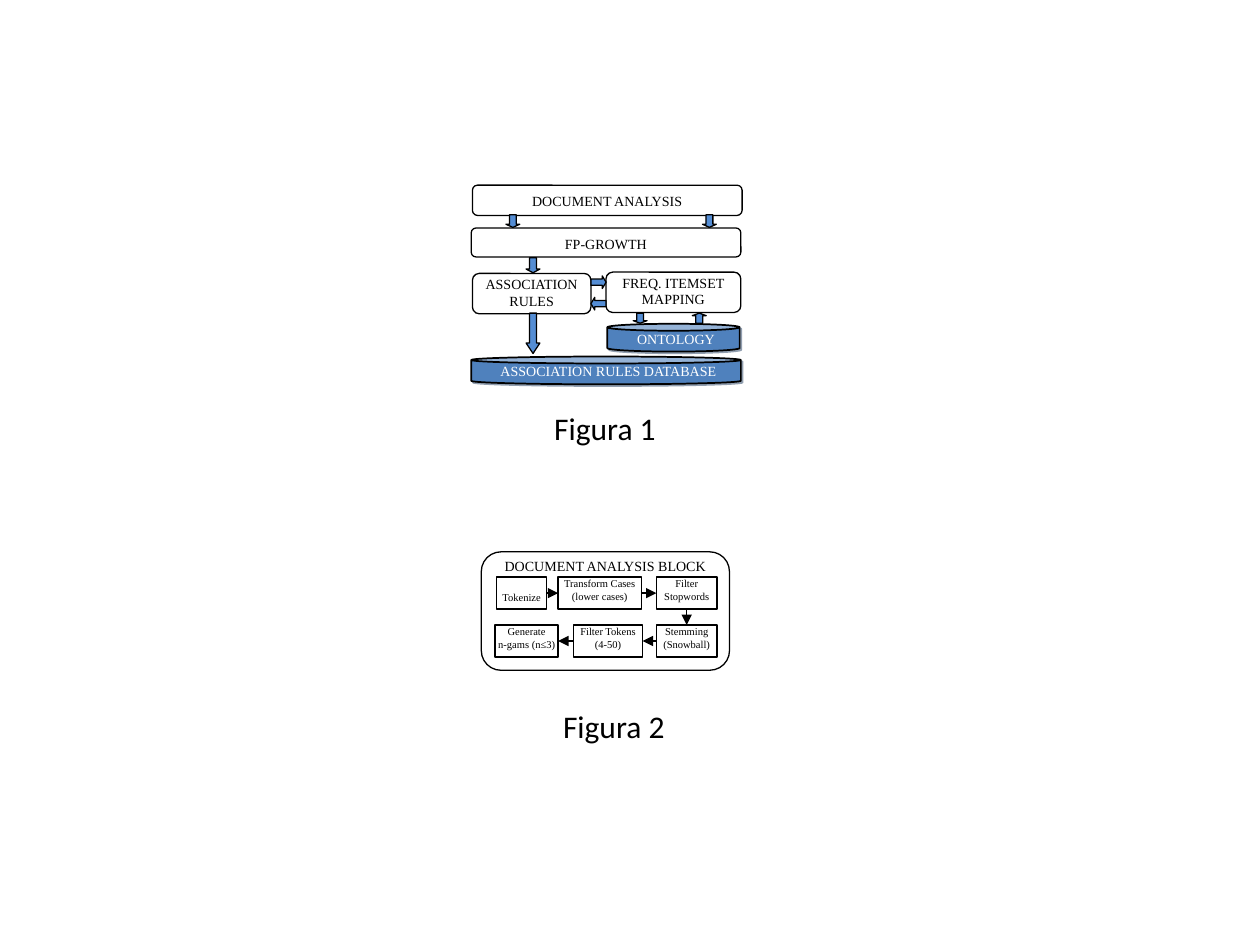
from pptx import Presentation
from pptx.dml.color import RGBColor
from pptx.enum.shapes import MSO_CONNECTOR, MSO_SHAPE as SHAPE
from pptx.enum.text import MSO_ANCHOR as ANCHOR, MSO_AUTO_SIZE as AUTO, PP_ALIGN as ALIGN
from pptx.oxml import parse_xml
from pptx.oxml.ns import nsdecls
from pptx.util import Inches, Pt

COLORS = {"ink": "000000", "paper": "FFFFFF", "arrow": "548DD4",
          "store": "4F81BD", "shade": "243F60"}
SERIF, SANS = "Times New Roman", "Calibri"
WIDE = (0.1, 0.05, 0.1, 0.05)
SIDES = (0.06, 0, 0.06, 0)
TIGHT = (0, 0, 0, 0)


def color(name):
    return RGBColor.from_string(COLORS[name])


class Grid:
    """A box on the slide, split into equal columns and rows."""

    def __init__(self, left, top, width, height, cols, rows):
        self.left, self.top = Inches(left), Inches(top)
        self.col, self.row = Inches(width) / cols, Inches(height) / rows

    def point(self, x, y):
        return round(self.left + x * self.col), round(self.top + y * self.row)

    def cell(self, x, y, w, h):
        return *self.point(x, y), round(w * self.col), round(h * self.row)


def write(sp, lines, size, ink="ink", font=SERIF, insets=WIDE,
          align=ALIGN.CENTER, anchor=ANCHOR.TOP, wrap=True):
    tf = sp.text_frame
    tf.word_wrap, tf.vertical_anchor = wrap, anchor
    (tf.margin_left, tf.margin_top,
     tf.margin_right, tf.margin_bottom) = map(Inches, insets)
    for i, line in enumerate(lines):
        p = tf.paragraphs[0] if i == 0 else tf.add_paragraph()
        p.alignment = align
        r = p.add_run()
        r.text = line
        r.font.size, r.font.name = Pt(size), font
        r.font.color.rgb = color(ink)


def add_shape(s, kind, cell, fill="paper", width=0.75):
    sp = s.shapes.add_shape(kind, *cell)
    sp.shadow.inherit = False
    sp.fill.solid()
    sp.fill.fore_color.rgb = color(fill)
    sp.line.color.rgb = color("ink")
    sp.line.width = Pt(width)
    return sp


def add_block_arrow(s, cell, turn, head=0.25):
    sp = add_shape(s, SHAPE.RIGHT_ARROW, cell, "arrow")
    sp.adjustments[1] = head
    sp.rotation = turn


def add_store(s, grid, x, y, w, h, label):
    sp = add_shape(s, SHAPE.CAN, grid.cell(x, y, w, h), "store", 1)
    sp.adjustments[0] = 0.25
    effects = sp._element.spPr.find("{*}effectLst")
    effects.append(parse_xml(
        f'<a:outerShdw {nsdecls("a")} dist="17780" dir="2700000" rotWithShape="0">'
        f'<a:srgbClr val="{COLORS["shade"]}"><a:alpha val="50000"/></a:srgbClr>'
        '</a:outerShdw>'))
    write(s.shapes.add_textbox(*grid.cell(x + 2, y, w, h - 1)), [label], 8, "paper")


def add_link(s, start, end):
    line = s.shapes.add_connector(MSO_CONNECTOR.STRAIGHT, *start, *end)
    line.line.color.rgb = color("ink")
    line.line.width = Pt(0.75)
    line.line._get_or_add_ln().append(
        parse_xml(f'<a:tailEnd {nsdecls("a")} type="triangle"/>'))
    line._element.spPr.append(parse_xml(f'<a:effectLst {nsdecls("a")}/>'))


def add_caption(s, left, top, label):
    sp = s.shapes.add_textbox(Inches(left), Inches(top), Inches(1.01), Inches(0.4))
    write(sp, [label], 18, font=SANS, align=ALIGN.LEFT, wrap=False)
    sp.text_frame.auto_size = AUTO.SHAPE_TO_FIT_TEXT


def draw_mining_flow(s, grid):
    # Process steps
    for x, y, w, h, insets, lines in [
        (1, 0, 214, 24, WIDE, ["DOCUMENT ANALYSIS"]),
        (0, 34, 214, 23, WIDE, ["FP-GROWTH"]),
        (1, 70, 94, 32, SIDES, ["ASSOCIATION", "RULES"]),
        (107, 69, 107, 32, SIDES, ["FREQ. ITEMSET MAPPING"]),
    ]:
        sp = add_shape(s, SHAPE.ROUNDED_RECTANGLE, grid.cell(x, y, w, h))
        write(sp, lines, 8, insets=insets)

    # Block arrows: place before turning, turn, head length
    for x, y, w, h, turn, head in [
        (28, 23, 10, 11, 90, 0.25),
        (184, 23, 10, 11, 90, 0.25),
        (43, 58, 12, 11, 90, 0.27),
        (33, 112, 32, 11, 90, 0.75),
        (130, 100, 8, 11, 90, 0.25),
        (177, 100, 8, 11, 270, 0.25),
        (95, 72, 12, 10, 0, 0.3),
        (95, 89, 12, 10, 180, 0.3),
    ]:
        add_block_arrow(s, grid.cell(x, y, w, h), turn, head)

    # Data stores
    add_store(s, grid, 108, 110, 105, 22, "ONTOLOGY")
    add_store(s, grid, 0, 136, 214, 22, "ASSOCIATION RULES DATABASE")


def draw_analysis_block(s, grid):
    # Frame with its heading
    frame = add_shape(s, SHAPE.ROUNDED_RECTANGLE, grid.cell(0, 0, 197, 94))
    write(frame, ["DOCUMENT ANALYSIS BLOCK"], 8, insets=TIGHT)

    # Steps in reading order: along the top, then back along the bottom
    top, bottom, height = 20, 58, 25.5
    steps = [
        (12, top, 40, ["Tokenize"]),
        (61, top, 66, ["Transform Cases", "(lower cases)"]),
        (139, top, 48, ["Filter", "Stopwords"]),
        (139, bottom, 48, ["Stemming (Snowball)"]),
        (73, bottom, 55, ["Filter Tokens", "(4-50)"]),
        (11, bottom, 50, ["Generate", "n-gams (n≤3)"]),
    ]
    for x, y, w, lines in steps:
        sp = add_shape(s, SHAPE.RECTANGLE, grid.cell(x, y, w, height))
        first = lines == ["Tokenize"]
        write(sp, lines, 6, insets=(0, 0.06, 0, 0) if first else TIGHT,
              anchor=ANCHOR.MIDDLE if first else ANCHOR.TOP)

    # Links from each step to the next
    for (x, y, w, _), (nx, ny, nw, _) in zip(steps, steps[1:]):
        middle = y + height / 2
        if y != ny:
            start, end = (x + w / 2, y + height), (x + w / 2, ny)
        elif nx > x:
            start, end = (x + w, middle), (nx, middle)
        else:
            start, end = (x, middle), (nx + nw, middle)
        add_link(s, grid.point(*start), grid.point(*end))


def main():
    prs = Presentation()
    prs.slide_width, prs.slide_height = Inches(10), Inches(7.5)
    s = prs.slides.add_slide(prs.slide_layouts[6])
    draw_analysis_block(s, Grid(3.82, 4.38, 1.97, 0.94, 197, 94))
    draw_mining_flow(s, Grid(3.74, 1.47, 2.14, 1.58, 214, 158))
    add_caption(s, 4.3, 3.2, "Figura 1")
    add_caption(s, 4.37, 5.56, "Figura 2")
    prs.save("out.pptx")


if __name__ == "__main__":
    main()
